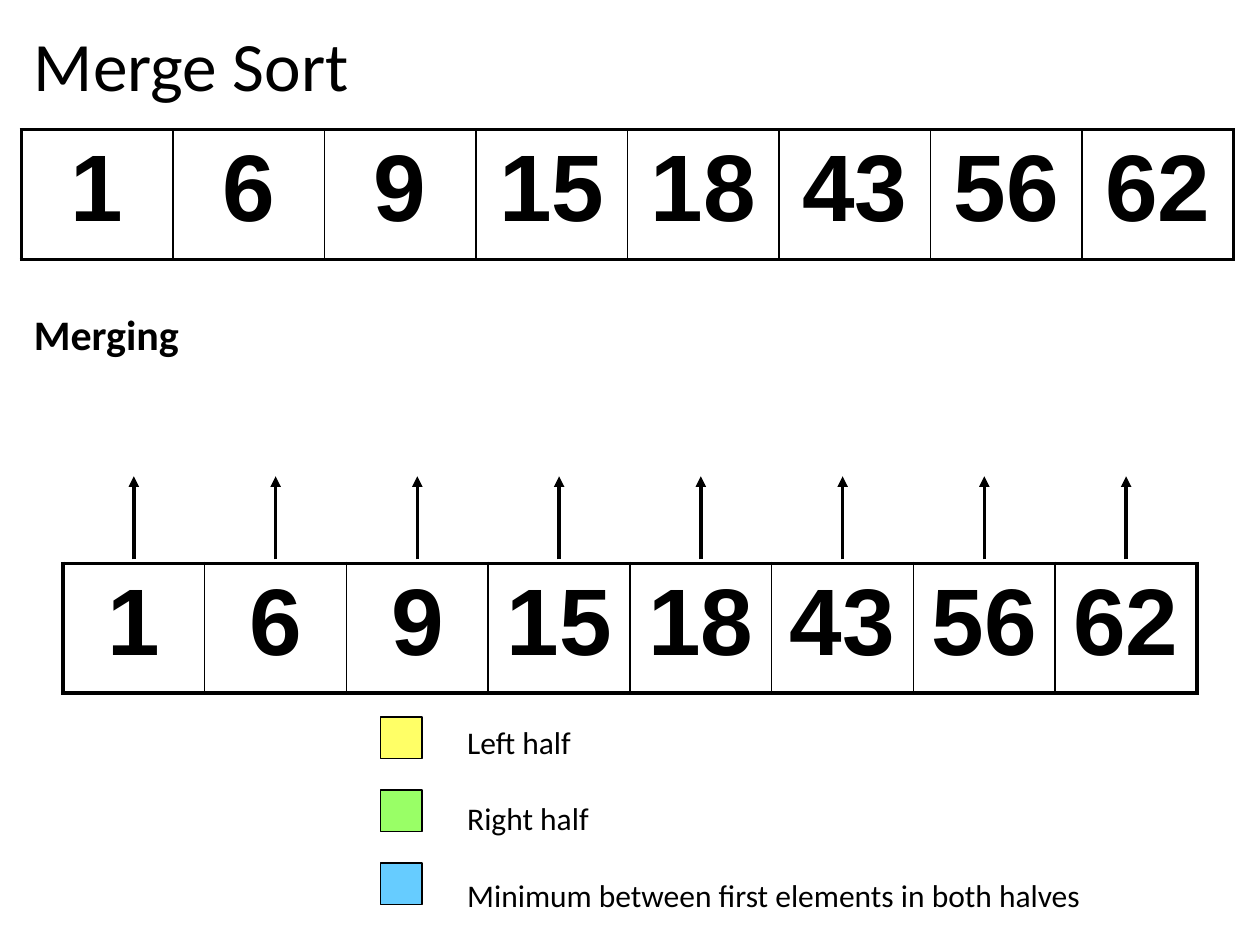
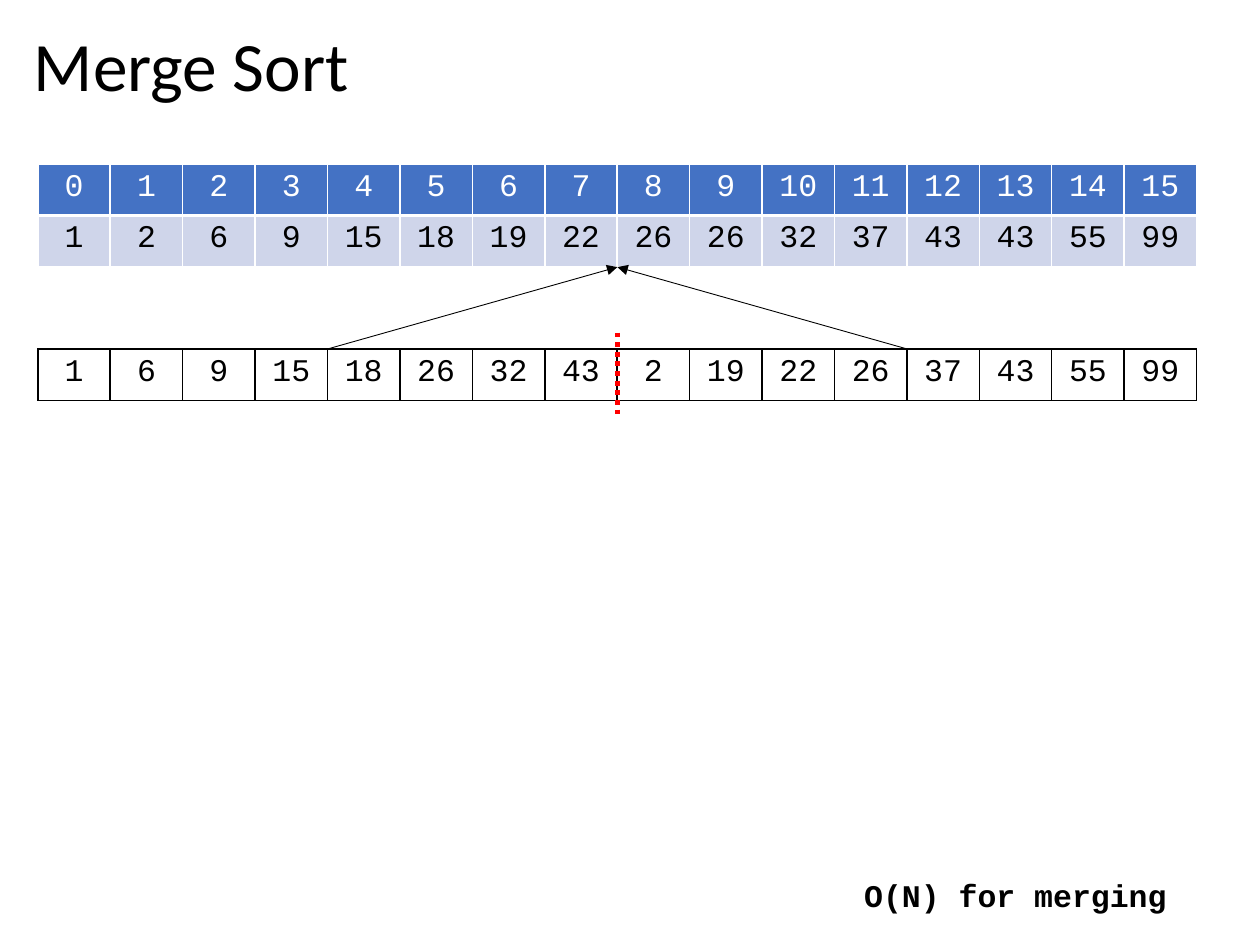
"""Build two slides that show the merging step of merge sort."""
from dataclasses import dataclass
from typing import Optional

from lxml import etree
from pptx import Presentation
from pptx.dml.color import RGBColor
from pptx.enum import dml, shapes, text
from pptx.oxml import ns
from pptx.util import Inches, Pt

BLACK = RGBColor(0x00, 0x00, 0x00)
WHITE = RGBColor(0xFF, 0xFF, 0xFF)
RED = RGBColor(0xFF, 0x00, 0x00)
HEADER_BLUE = RGBColor(0x44, 0x72, 0xC4)
BAND_BLUE = RGBColor(0xCF, 0xD5, 0xEA)
YELLOW = RGBColor(0xFF, 0xFF, 0x66)
GREEN = RGBColor(0x99, 0xFF, 0x66)
SKY = RGBColor(0x66, 0xCC, 0xFF)
BODY_FONT = "Calibri"
ARRAY_FONT = "Arial"
CODE_FONT = "Courier New"


@dataclass(frozen=True)
class Style:
    """Look of a text run."""
    font: str
    size: float
    bold: bool = False
    color: RGBColor = BLACK


@dataclass(frozen=True)
class ArrayRow:
    """One row of an array table."""
    values: list[int]
    style: Style
    fill: Optional[RGBColor] = None


@dataclass(frozen=True)
class ArrayTable:
    """Place, rows and border widths (points) of an array table."""
    left: float
    top: float
    width: float
    row_height: float
    rows: list[ArrayRow]
    border: RGBColor = BLACK
    outer: float = 1
    row_rule: float = 1

    def column_edge(self, column: float) -> float:
        """Return the x position of a column's left edge."""
        return self.left + self.width * column / len(self.rows[0].values)

    @property
    def bottom(self) -> float:
        """Return the y position of the lower edge."""
        return self.top + self.row_height * len(self.rows)


@dataclass(frozen=True)
class Line:
    """A straight line in inches."""
    x1: float
    y1: float
    x2: float
    y2: float
    width: float
    color: RGBColor = BLACK
    dotted: bool = False
    arrow: bool = True


@dataclass(frozen=True)
class LegendItem:
    """A colour and its meaning."""
    color: RGBColor
    label: str


TITLE = Style(BODY_FONT, 39.6)
HEADING = Style(BODY_FONT, 24, bold=True)
LEGEND = Style(BODY_FONT, 18)
BIG_NUMBER = Style(ARRAY_FONT, 54, bold=True)
CODE = Style(CODE_FONT, 18)
CODE_HEADER = Style(CODE_FONT, 18, color=WHITE)
CODE_NOTE = Style(CODE_FONT, 18, bold=True)

SORTED_EIGHT = [1, 6, 9, 15, 18, 43, 56, 62]
SORTED_SIXTEEN = [1, 2, 6, 9, 15, 18, 19, 22, 26, 26, 32, 37, 43, 43, 55, 99]
LEFT_HALF = [1, 6, 9, 15, 18, 26, 32, 43]
RIGHT_HALF = [2, 19, 22, 26, 37, 43, 55, 99]
LEGEND_ITEMS = [
    LegendItem(YELLOW, "Left half"),
    LegendItem(GREEN, "Right half"),
    LegendItem(SKY, "Minimum between first elements in both halves"),
]


def write_run(paragraph, words: str, style: Style) -> None:
    """Add one styled run to a paragraph."""
    run = paragraph.add_run()
    run.text = words
    run.font.name = style.font
    run.font.size = Pt(style.size)
    run.font.bold = style.bold
    run.font.color.rgb = style.color


def add_text(slide, left: float, top: float, width: float, height: float,
             lines: list[str], style: Style, gap: float = 0):
    """Add a text box with one paragraph per line and return its frame."""
    box = slide.shapes.add_textbox(Inches(left), Inches(top), Inches(width), Inches(height))
    frame = box.text_frame
    frame.word_wrap = True
    for index, words in enumerate(lines):
        paragraph = frame.add_paragraph() if index else frame.paragraphs[0]
        if index:
            paragraph.space_before = Pt(gap)
        write_run(paragraph, words, style)
    return frame


def add_title(slide) -> None:
    """Add the shared slide title."""
    frame = add_text(slide, 0.17, 0.18, 9.62, 0.74, ["Merge Sort"], TITLE)
    frame.vertical_anchor = text.MSO_ANCHOR.MIDDLE
    frame.paragraphs[0].line_spacing = 0.9


def set_borders(cell, color: RGBColor, widths: dict[str, float]) -> None:
    """Set the border widths of a cell, keyed by side in L, R, T, B order."""
    properties = cell._tc.get_or_add_tcPr()
    for position, (side, width) in enumerate(widths.items()):
        line = etree.Element(ns.qn(f"a:ln{side}"), w=str(Pt(width)))
        fill = etree.SubElement(line, ns.qn("a:solidFill"))
        etree.SubElement(fill, ns.qn("a:srgbClr"), val=str(color))
        properties.insert(position, line)


def add_array(slide, array: ArrayTable) -> None:
    """Draw an array as a table."""
    row_count, column_count = len(array.rows), len(array.rows[0].values)
    table = slide.shapes.add_table(
        row_count, column_count, Inches(array.left), Inches(array.top),
        Inches(array.width), Inches(array.row_height * row_count)).table
    table.first_row = table.horz_banding = False
    for r, row in enumerate(array.rows):
        for c, value in enumerate(row.values):
            cell = table.cell(r, c)
            if row.fill is None:
                cell.fill.background()
            else:
                cell.fill.solid()
                cell.fill.fore_color.rgb = row.fill
            set_borders(cell, array.border, {
                "L": array.outer if c == 0 else 1,
                "R": array.outer if c == column_count - 1 else 1,
                "T": array.outer if r == 0 else array.row_rule,
                "B": array.outer if r == row_count - 1 else array.row_rule,
            })
            paragraph = cell.text_frame.paragraphs[0]
            paragraph.alignment = text.PP_ALIGN.CENTER
            write_run(paragraph, str(value), row.style)


def add_line(slide, line: Line) -> None:
    """Draw a line, with an arrowhead at its end if asked."""
    connector = slide.shapes.add_connector(
        shapes.MSO_CONNECTOR.STRAIGHT, Inches(line.x1), Inches(line.y1),
        Inches(line.x2), Inches(line.y2))
    connector.line.color.rgb = line.color
    connector.line.width = Pt(line.width)
    if line.dotted:
        connector.line.dash_style = dml.MSO_LINE.ROUND_DOT
    properties = connector._element.spPr
    if line.arrow:
        etree.SubElement(properties.find(ns.qn("a:ln")), ns.qn("a:tailEnd"), type="triangle")
    etree.SubElement(properties, ns.qn("a:effectLst"))


def add_legend(slide, items: list[LegendItem]) -> None:
    """Draw the colour key."""
    for index, item in enumerate(items):
        swatch = slide.shapes.add_shape(
            shapes.MSO_SHAPE.RECTANGLE, Inches(3.02), Inches(5.69 + 0.58 * index),
            Inches(0.33), Inches(0.33))
        swatch.shadow.inherit = False
        swatch.fill.solid()
        swatch.fill.fore_color.rgb = item.color
        swatch.line.color.rgb = BLACK
        swatch.line.width = Pt(0.75)
    add_text(slide, 3.61, 5.69, 5.93, 1.62, [item.label for item in items], LEGEND, gap=22)


def build_merged_slide(slide) -> None:
    """Show every element moved up into the merged array."""
    add_title(slide)
    row = ArrayRow(SORTED_EIGHT, BIG_NUMBER)
    merged = ArrayTable(0.17, 1.03, 9.62, 1.03, [row], outer=2.25)
    source = ArrayTable(0.5, 4.47, 9, 1.03, [row], outer=2.25)
    add_array(slide, merged)
    add_array(slide, source)
    add_legend(slide, LEGEND_ITEMS)
    for column in range(len(SORTED_EIGHT)):
        center = source.column_edge(column + 0.5)
        add_line(slide, Line(center, 4.44, center, 3.78, 2))
    add_text(slide, 0.17, 2.4, 1.75, 0.5, ["Merging"], HEADING)


def build_cost_slide(slide) -> None:
    """Show two sorted halves merged in linear time."""
    add_title(slide)
    merged = ArrayTable(0.3, 1.3, 9.2, 0.41, [
        ArrayRow(list(range(16)), CODE_HEADER, HEADER_BLUE),
        ArrayRow(SORTED_SIXTEEN, CODE, BAND_BLUE),
    ], border=WHITE, row_rule=1.5)
    halves = ArrayTable(0.3, 2.77, 9.2, 0.41, [ArrayRow(LEFT_HALF + RIGHT_HALF, CODE)])
    add_array(slide, merged)
    add_array(slide, halves)
    middle = halves.column_edge(8)
    add_line(slide, Line(middle, 2.64, middle, 3.31, 2.75, RED, dotted=True, arrow=False))
    for column in (4, 12):
        add_line(slide, Line(halves.column_edge(column), halves.top,
                             middle, merged.bottom, 0.5))
    add_text(slide, 6.76, 6.9, 2.81, 0.4, ["O(N) for merging"], CODE_NOTE)


def main() -> None:
    """Build and save the presentation."""
    presentation = Presentation()
    presentation.slide_width = Inches(10)
    presentation.slide_height = Inches(7.5)
    for build in (build_merged_slide, build_cost_slide):
        build(presentation.slides.add_slide(presentation.slide_layouts[6]))
    presentation.save("out.pptx")


if __name__ == "__main__":
    main()
